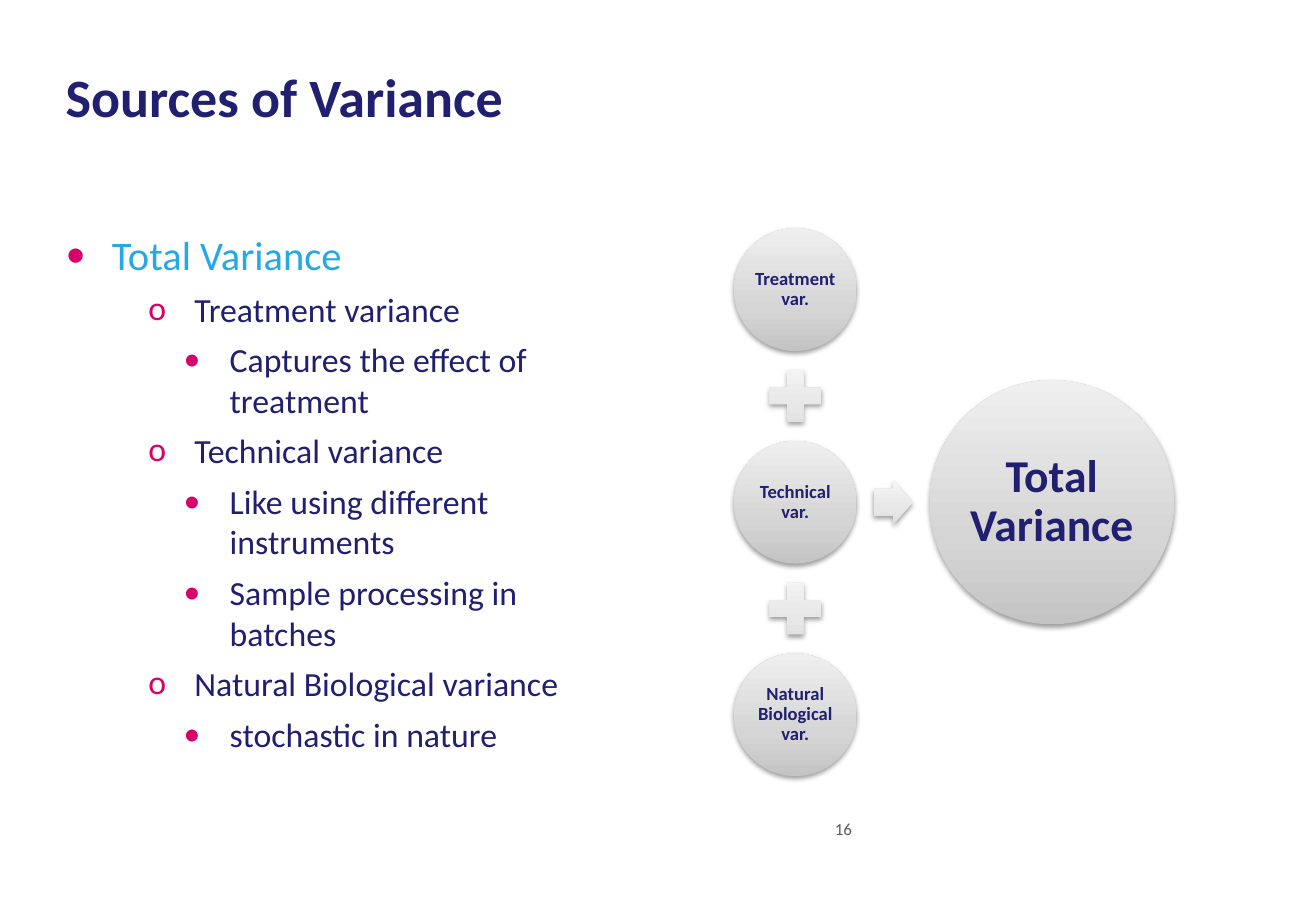
from lxml import etree
from pptx import Presentation
from pptx import util as u
from pptx.dml.color import RGBColor
from pptx.enum import shapes, text
from pptx.oxml import parse_xml
from pptx.oxml.ns import qn

NAVY, SKY, PINK, GREY = "211F70", "24A8E6", "D8006B", "5D5C5C"
FONT = "Calibri"
CIRCLE_GREYS = ("C5C4C4", "D6D5D5", "EFEFEF")
SIGN_GREYS = ("DEDEDE", "E7E7E7", "F6F6F6")
A_NS = "http://schemas.openxmlformats.org/drawingml/2006/main"

OUTLINE = [
    (0, "Total Variance"),
    (1, "Treatment variance"),
    (2, "Captures the effect of treatment"),
    (1, "Technical variance"),
    (2, "Like using different instruments"),
    (2, "Sample processing in batches"),
    (1, "Natural Biological variance"),
    (2, "stochastic in nature"),
]
LEVELS = [(0.38, "•", 24, SKY), (1.06, "o", 20, NAVY), (1.35, "•", 20, NAVY)]
SOURCES = ["Treatment var.", "Technical var.", "Natural Biological var."]


def color(hex_string):
    """Turn a hex string into a colour."""
    return RGBColor.from_string(hex_string)


def write(paragraph, words, size=20, ink=NAVY, bold=False, align=None, spacing=None, after=None):
    """Write formatted words into a paragraph."""
    run = paragraph.add_run()
    run.text = words
    run.font.name = FONT
    run.font.size = u.Pt(size)
    run.font.bold = bold
    run.font.color.rgb = color(ink)
    paragraph.alignment = align
    paragraph.line_spacing = spacing
    paragraph.space_after = after


def set_frame(frame, inset=0, anchor=text.MSO_ANCHOR.TOP):
    """Set wrapping, margins and anchor of a text frame."""
    frame.word_wrap = True
    frame.vertical_anchor = anchor
    frame.margin_left = frame.margin_right = u.Inches(inset)
    frame.margin_top = frame.margin_bottom = u.Inches(inset)
    return frame


def add_frame(slide, left, top, width, height):
    """Add a text box without margins and return its frame."""
    box = slide.shapes.add_textbox(*map(u.Inches, (left, top, width, height)))
    return set_frame(box.text_frame)


def add_bullet(paragraph, indent, mark):
    """Give a paragraph a hanging pink bullet."""
    properties = paragraph._p.get_or_add_pPr()
    properties.set("marL", str(u.Inches(indent)))
    properties.set("indent", str(u.Inches(-0.38)))
    bullet_color = etree.SubElement(properties, qn("a:buClr"))
    etree.SubElement(bullet_color, qn("a:srgbClr"), val=PINK)
    etree.SubElement(properties, qn("a:buFont"), typeface=FONT)
    etree.SubElement(properties, qn("a:buChar"), char=mark)


def add_raised(slide, kind, center_x, center_y, width, height, greys):
    """Add a shaded shape with a soft shadow around a centre."""
    raised = slide.shapes.add_shape(
        kind, *map(u.Inches, (center_x - width / 2, center_y - height / 2, width, height)))
    raised.line.fill.background()
    raised.shadow.inherit = False
    stops = "".join(f'<a:gs pos="{position}000"><a:srgbClr val="{grey}"/></a:gs>'
                    for position, grey in zip((0, 35, 100), greys))
    shading = parse_xml(f'<a:gradFill xmlns:a="{A_NS}" rotWithShape="1"><a:gsLst>{stops}</a:gsLst>'
                        '<a:lin ang="16200000" scaled="0"/></a:gradFill>')
    properties = raised._element.spPr
    properties.find(qn("a:prstGeom")).addnext(shading)
    properties.find(qn("a:effectLst")).append(parse_xml(
        f'<a:outerShdw xmlns:a="{A_NS}" blurRad="{u.Pt(3.1)}" dist="{u.Pt(1.6)}" dir="5400000" '
        'rotWithShape="0"><a:srgbClr val="000000"><a:alpha val="38000"/></a:srgbClr></a:outerShdw>'))
    return raised


def add_circle(slide, center_x, center_y, diameter, words, size):
    """Add a shaded circle with a bold label."""
    circle = add_raised(slide, shapes.MSO_SHAPE.OVAL, center_x, center_y,
                        diameter, diameter, CIRCLE_GREYS)
    frame = set_frame(circle.text_frame, anchor=text.MSO_ANCHOR.MIDDLE)
    write(frame.paragraphs[0], words, size, bold=True, align=text.PP_ALIGN.CENTER, spacing=0.9)


def add_title(slide, left, top, width, height):
    """Place the slide title."""
    frame = add_frame(slide, left, top, width, height)
    write(frame.paragraphs[0], "Sources of Variance", 32, bold=True, spacing=u.Pt(36))


def add_outline(slide, left, top, width, height):
    """Place the bulleted outline."""
    frame = add_frame(slide, left, top, width, height)
    for index, (level, words) in enumerate(OUTLINE):
        paragraph = frame.add_paragraph() if index else frame.paragraphs[0]
        indent, mark, size, ink = LEVELS[level]
        paragraph.level = level
        write(paragraph, words, size, ink, after=u.Pt(6))
        add_bullet(paragraph, indent, mark)


def add_equation(slide, left, top, width, height):
    """Place the variance sources that add up to the total."""
    small, large, plus_size = 1.01, 2.01, 0.58
    pitch = (height - small) / (len(SOURCES) - 1)
    source_x, middle = left + small / 2, top + height / 2
    for index, source in enumerate(SOURCES):
        source_y = top + small / 2 + index * pitch
        if index:
            add_raised(slide, shapes.MSO_SHAPE.MATH_PLUS, source_x, source_y - pitch / 2,
                       plus_size, plus_size, SIGN_GREYS)
        add_circle(slide, source_x, source_y, small, source, 11)
    arrow = add_raised(slide, shapes.MSO_SHAPE.RIGHT_ARROW, left + 1.31, middle,
                       0.32, 0.37, SIGN_GREYS)
    arrow.adjustments[0] = 0.6
    add_circle(slide, left + width - large / 2, middle, large, "Total Variance", 27)


def add_page_number(slide, left, top, width, height):
    """Place the page number."""
    frame = add_frame(slide, left, top, width, height)
    write(frame.paragraphs[0], "16", 10, GREY)


def main():
    """Build and save the slide."""
    deck = Presentation()
    deck.slide_width, deck.slide_height = u.Inches(10.83), u.Inches(7.5)
    slide = deck.slides.add_slide(deck.slide_layouts[6])
    add_title(slide, 0.54, 0.56, 9.75, 1.08)
    add_outline(slide, 0.54, 1.89, 4.51, 4.5)
    add_page_number(slide, 6.87, 6.74, 0.3, 0.42)
    add_equation(slide, 6.04, 1.88, 3.62, 4.51)
    deck.save("out.pptx")


if __name__ == "__main__":
    main()
